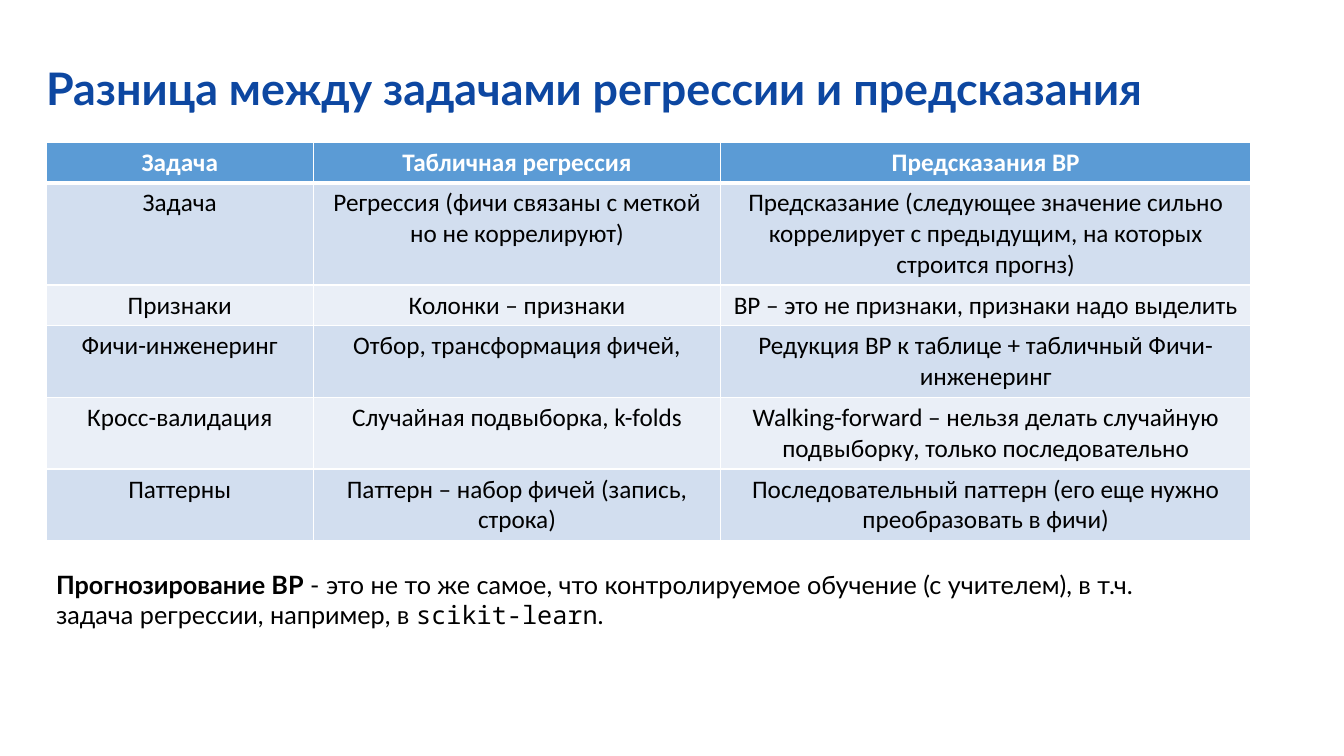
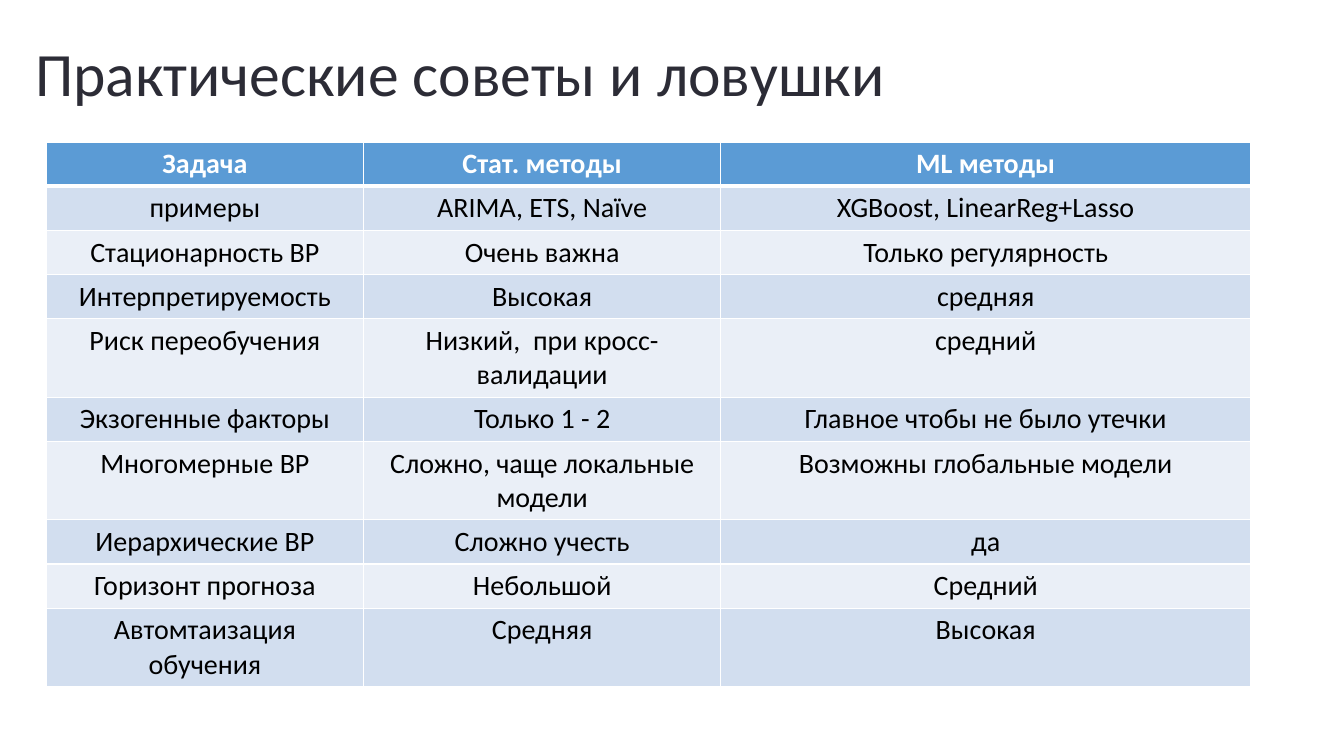
import pptx
import pptx.dml.color
import pptx.enum.text
import pptx.util
from lxml import etree

COLUMNS, ROWS = 160, 90
DRAWING = "http://schemas.openxmlformats.org/drawingml/2006/main"
LINE_PITCH = 1.22
CELL_PADDING = pptx.util.Inches(0.1)


def color(value):
    return pptx.dml.color.RGBColor.from_string(value)


class Deck:
    fills = {"header": "5B9BD5", "odd": "D2DEEF", "even": "EAEFF7"}
    border = "FFFFFF"
    header_font = {"name": "Calibri", "bold": True, "color": "FFFFFF"}
    body_font = {"name": "Calibri", "bold": False, "color": "000000"}

    def __init__(self):
        self.deck = pptx.Presentation()
        self.deck.slide_width = pptx.util.Inches(13.33)
        self.deck.slide_height = pptx.util.Inches(7.5)
        self.slide = None

    def new_slide(self):
        self.slide = self.deck.slides.add_slide(self.deck.slide_layouts[6])

    def across(self, columns):
        return round(self.deck.slide_width * columns / COLUMNS)

    def down(self, rows):
        return round(self.deck.slide_height * rows / ROWS)

    def add_span(self, para, text, style):
        span = para.add_run()
        span.text = text
        for key, value in style.items():
            if key == "color":
                span.font.color.rgb = color(value)
            else:
                setattr(span.font, key, pptx.util.Pt(value) if key == "size" else value)

    def text(self, left, top, width, height, spans, anchor="TOP", spacing=1.0):
        """Add a one-paragraph text box; spans are (text, style) pairs."""
        box = self.slide.shapes.add_textbox(
            self.across(left), self.down(top), self.across(width), self.down(height))
        frame = box.text_frame
        frame.word_wrap = True
        frame.vertical_anchor = pptx.enum.text.MSO_ANCHOR[anchor]
        para = frame.paragraphs[0]
        para.line_spacing = spacing
        for text, style in spans:
            self.add_span(para, text, style)

    def title(self, left, top, width, height, text, style):
        self.text(left, top, width, height, [(text, style)], "MIDDLE", 0.9)

    def set_borders(self, cell, top, bottom):
        """Draw the four cell borders; top and bottom are widths in points."""
        properties = cell._tc.get_or_add_tcPr()
        for side, width in {"L": 1, "R": 1, "T": top, "B": bottom}.items():
            line = etree.SubElement(properties, f"{{{DRAWING}}}ln{side}",
                                    w=str(pptx.util.Pt(width)))
            fill = etree.SubElement(line, f"{{{DRAWING}}}solidFill")
            etree.SubElement(fill, f"{{{DRAWING}}}srgbClr", val=self.border)

    def table(self, left, top, widths, size, records):
        """Add a table; each record is its number of text lines and its cell texts."""
        heights = [round(pptx.util.Pt(size) * LINE_PITCH * lines + CELL_PADDING)
                   for lines, _ in records]
        table = self.slide.shapes.add_table(
            len(records), len(widths), self.across(left), self.down(top),
            self.across(sum(widths)), sum(heights)).table
        for column, width in zip(table.columns, widths):
            column.width = self.across(width)
        for index, (_, texts) in enumerate(records):
            table.rows[index].height = heights[index]
            band = "header" if index == 0 else "odd" if index % 2 else "even"
            font = self.body_font if index else self.header_font
            for column, text in enumerate(texts):
                cell = table.cell(index, column)
                self.set_borders(cell, 3 if index == 1 else 1, 3 if index == 0 else 1)
                cell.fill.solid()
                cell.fill.fore_color.rgb = color(self.fills[band])
                para = cell.text_frame.paragraphs[0]
                para.alignment = pptx.enum.text.PP_ALIGN.CENTER
                self.add_span(para, text, {**font, "size": size})


TABLE_LEFT, TABLE_TOP = 5.5, 16.9
LAST_COLUMN = 63.1

TASKS = [
    (1, ("Задача", "Табличная регрессия", "Предсказания ВР")),
    (3, ("Задача", "Регрессия (фичи связаны с меткой но не коррелируют)",
         "Предсказание (следующее значение сильно коррелирует с предыдущим, "
         "на которых строится прогнз)")),
    (1, ("Признаки", "Колонки – признаки",
         "ВР – это не признаки, признаки надо выделить")),
    (2, ("Фичи-инженеринг", "Отбор, трансформация фичей,",
         "Редукция ВР к таблице + табличный Фичи-инженеринг")),
    (2, ("Кросс-валидация", "Случайная подвыборка, k-folds",
         "Walking-forward – нельзя делать случайную подвыборку, "
         "только последовательно")),
    (2, ("Паттерны", "Паттерн – набор фичей (запись, строка)",
         "Последовательный паттерн (его еще нужно преобразовать в фичи)")),
]

METHODS = [
    (1, ("Задача", "Стат. методы", "ML методы")),
    (1, ("примеры", "ARIMA, ETS, Naïve", "XGBoost, LinearReg+Lasso")),
    (1, ("Стационарность ВР", "Очень важна", "Только регулярность")),
    (1, ("Интерпретируемость", "Высокая", "средняя")),
    (2, ("Риск переобучения", "Низкий,  при кросс-валидации", "средний")),
    (1, ("Экзогенные факторы", "Только 1 - 2", "Главное чтобы не было утечки")),
    (2, ("Многомерные ВР", "Сложно, чаще локальные модели",
         "Возможны глобальные модели")),
    (1, ("Иерархические ВР", "Сложно учесть", "да")),
    (1, ("Горизонт прогноза", "Небольшой", "Средний")),
    (2, ("Автомтаизация обучения", "Средняя", "Высокая")),
]


def add_task_comparison(deck):
    deck.new_slide()
    deck.title(4.3, 4.8, 144.6, 12.1, "Разница между задачами регрессии и предсказания",
               {"name": "Lato", "size": 32, "bold": True, "color": "0D47A1"})
    deck.table(TABLE_LEFT, TABLE_TOP, (31.8, 48.5, LAST_COLUMN), 18, TASKS)
    plain = {"name": "Lato", "size": 18, "bold": False, "color": "000000"}
    deck.text(TABLE_LEFT, 67.2, 140.5, 8.5, [
        ("Прогнозирование ВР", {**plain, "bold": True}),
        (" - это не то же самое, что контролируемое обучение (с учителем), "
         "в т.ч. задача регрессии, например, в ", plain),
        ("scikit-learn", {**plain, "name": "Noto Sans Mono"}),
        (".", plain),
    ])


def add_practical_advice(deck):
    deck.new_slide()
    deck.title(3, 3.5, 146.2, 11.3, "Практические советы и ловушки",
               {"name": "Calibri", "size": 44, "color": "2C2C36"})
    deck.table(TABLE_LEFT, TABLE_TOP, (37.8, 42.5, LAST_COLUMN), 20, METHODS)


def main():
    deck = Deck()
    add_task_comparison(deck)
    add_practical_advice(deck)
    deck.deck.save("out.pptx")


if __name__ == "__main__":
    main()
